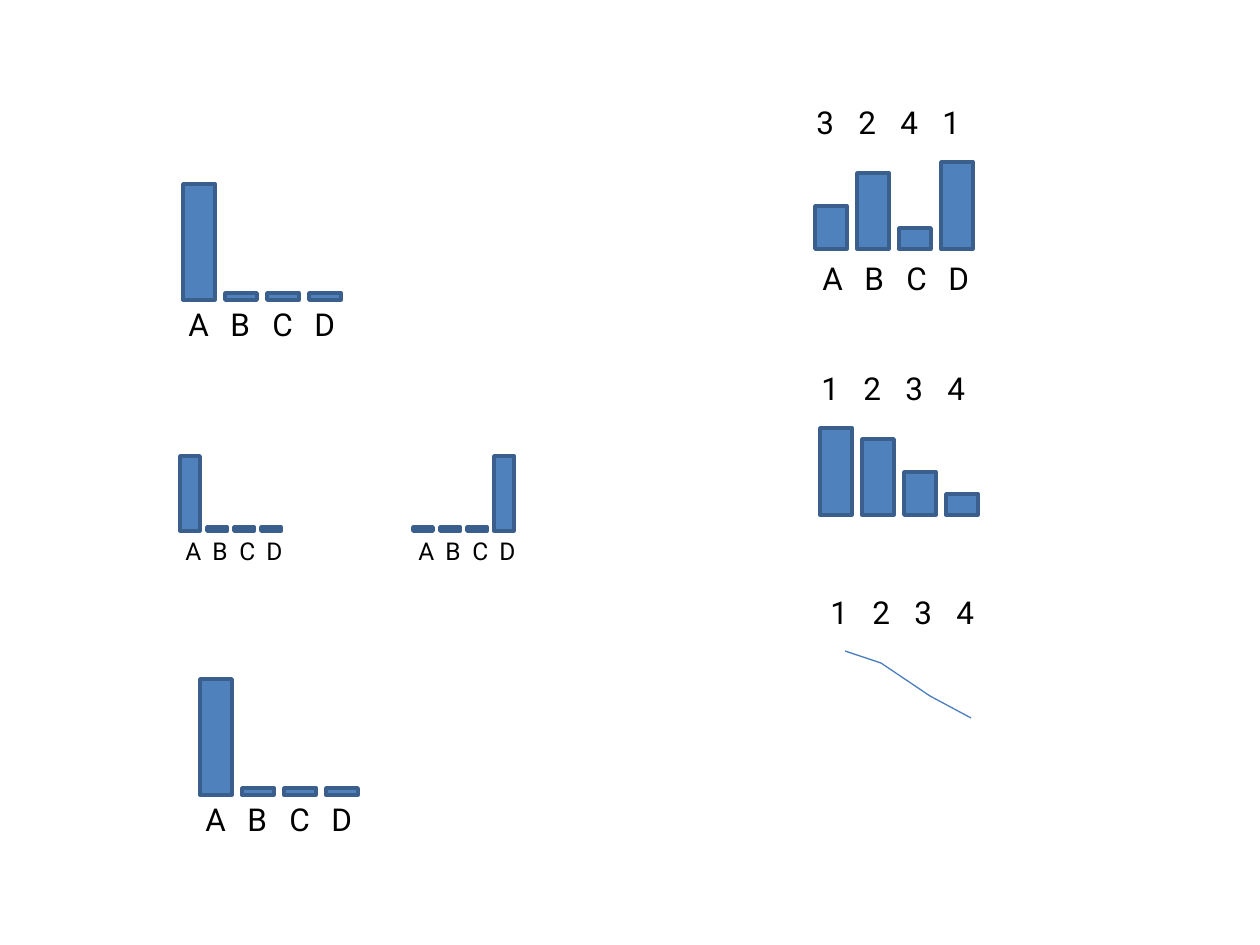
import itertools
import pptx
import pptx.util
import pptx.dml.color
import pptx.enum.shapes
import pptx.enum.text
import pptx.oxml.ns
import lxml.etree

SCALE = 914400 / 126
STEP = 42


def px(*sizes):
    return [pptx.util.Emu(round(size * SCALE)) for size in sizes]


def color(code):
    return pptx.dml.color.RGBColor.from_string(code)


def bars(host, x, base, heights, width=32, step=STEP):
    for i, height in enumerate(heights):
        bar = host.shapes.add_shape(
            pptx.enum.shapes.MSO_SHAPE.RECTANGLE,
            *px(x + i * step, base - height, width, height))
        bar.shadow.inherit = False
        bar.fill.solid()
        bar.fill.fore_color.rgb = color("4F81BD")
        bar.line.color.rgb = color("3A5F8C")
        bar.line.width = pptx.util.Pt(2)


def labels(host, x, y, text, size=18, step=STEP, width=47, height=50):
    for i, mark in enumerate(text):
        box = host.shapes.add_textbox(*px(x + i * step, y, width, height))
        frame = box.text_frame
        frame.word_wrap = False
        frame.auto_size = pptx.enum.text.MSO_AUTO_SIZE.SHAPE_TO_FIT_TEXT
        run = frame.paragraphs[0].add_run()
        run.text = mark
        run.font.size = pptx.util.Pt(size)
        run.font.name = "Roboto"
        run.font.color.rgb = color("000000")


def large(host, x, base):
    bars(host, x, base, [116, 7, 7, 7])
    labels(host, x - 7, base - 1, "ABCD")


def small(host, x, base, heights):
    bars(host, x, base, heights, 20, 27)
    labels(host, x - 7, base - 1, "ABCD", 14, 27, 42, 43)


def ranked(host, x, base, heights, ranks):
    bars(host, x, base, heights)
    labels(host, x - 11, base - 152, ranks, width=43)


def named(host, x, base, heights, ranks):
    ranked(host, x, base, heights, ranks)
    labels(host, x - 5, base + 4, "ABCD")


def curve(host, x, y, ranks):
    labels(host, x, y, ranks, width=43)
    points = [(27, 64), (63, 76), (112, 109), (153, 131)]
    for (left, top), (right, low) in itertools.pairwise(points):
        line = host.shapes.add_connector(
            pptx.enum.shapes.MSO_CONNECTOR.STRAIGHT,
            *px(x + left, y + top, x + right, y + low))
        line.line.color.rgb = color("4B7EBC")
        line.line.width = pptx.util.Pt(0.75)
        lxml.etree.SubElement(
            line._element.spPr, pptx.oxml.ns.qn("a:effectLst"))


deck = pptx.Presentation()
deck.slide_width, deck.slide_height = px(1260, 945)
slide = deck.slides.add_slide(deck.slide_layouts[6])
group = slide.shapes.add_group_shape

large(group(), 183, 300)
small(group(), 180, 531, [75, 4, 4, 4])
small(group(), 413, 531, [4, 4, 4, 75])
large(slide, 200, 795)
curve(group(), 818, 587, "1234")
ranked(group(), 820, 515, [87, 76, 43, 21], "1234")
named(group(), 815, 249, [43, 76, 21, 87], "3241")

deck.save("out.pptx")
